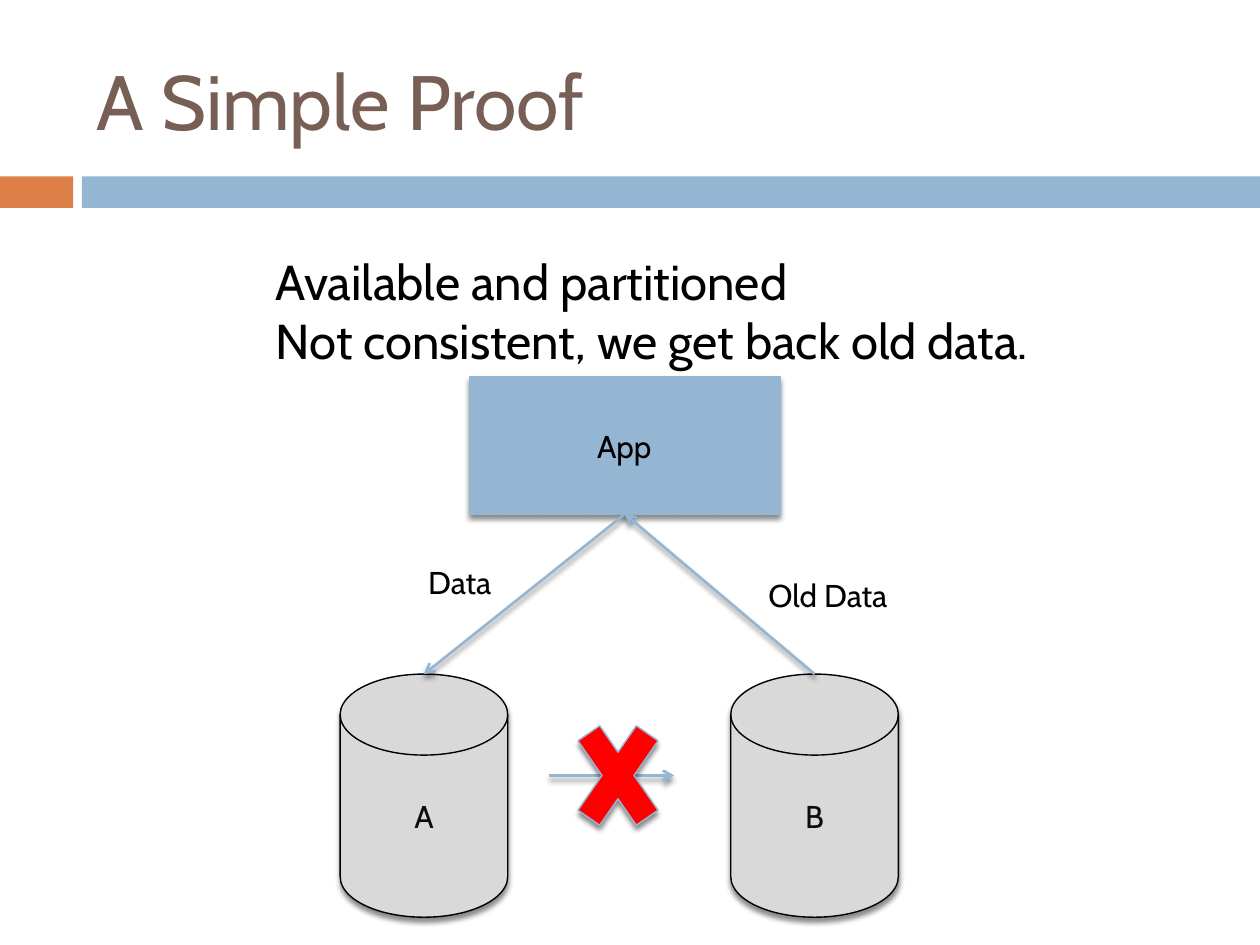
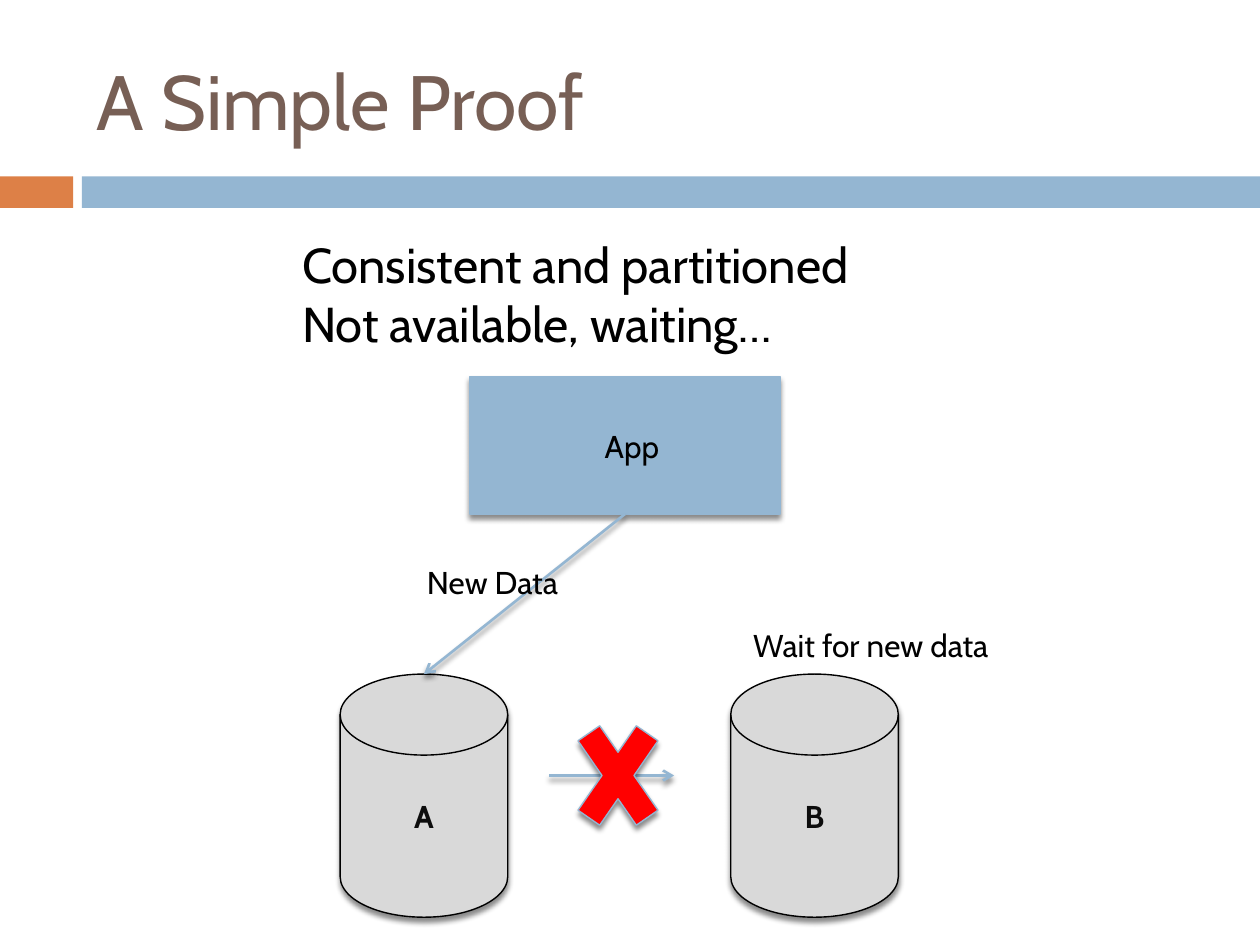
from dataclasses import dataclass

from lxml.etree import SubElement
from pptx import Presentation
from pptx.dml.color import RGBColor
from pptx.enum.shapes import MSO_CONNECTOR, MSO_SHAPE
from pptx.enum.text import MSO_ANCHOR, MSO_AUTO_SIZE, PP_ALIGN
from pptx.oxml.ns import qn
from pptx.util import Inches, Pt

SLIDE_WIDTH, SLIDE_HEIGHT = Inches(10), Inches(7.5)
COLUMN, ROW = SLIDE_WIDTH / 100, SLIDE_HEIGHT / 75

FONT = "Cabin"
BLUE, ORANGE, BROWN = "94B6D2", "DD8047", "775F55"
GREY, RED, BLACK, INK = "D9D9D9", "FF0000", "000000", "0D0D0D"
TITLE_SIZE, VERDICT_SIZE, LABEL_SIZE = 44, 28, 18
OUTLINE_WIDTH, ARROW_WIDTH = 0.79, 1.5


@dataclass
class Box:
    left: float
    top: float
    width: float
    height: float

    def inner(self, left, top, width, height):
        return Box(self.left + left, self.top + top, width, height)

    def emu(self):
        return (int(self.left * COLUMN), int(self.top * ROW),
                int(self.width * COLUMN), int(self.height * ROW))

    def top_centre(self):
        return self.left + self.width / 2, self.top

    def bottom_centre(self):
        return self.left + self.width / 2, self.top + self.height


HEADER = Box(0, 0, 100, 16.5)
DIAGRAM = Box(27, 29.9, 44.3, 42.9)


def color(hex_string):
    return RGBColor.from_string(hex_string)


def write(frame, text, size, hex_string, bold=None):
    frame.text = text
    for paragraph in frame.paragraphs:
        for run in paragraph.runs:
            run.font.name = FONT
            run.font.size = Pt(size)
            run.font.bold = bold
            run.font.color.rgb = color(hex_string)


def cast_shadow(shape):
    effects = SubElement(shape._element.spPr, qn("a:effectLst"))
    shadow = SubElement(effects, qn("a:outerShdw"), blurRad=str(Pt(3)),
                        dist=str(Pt(2.4)), dir="5400000", rotWithShape="0")
    tint = SubElement(shadow, qn("a:srgbClr"), val=BLACK)
    SubElement(tint, qn("a:alpha"), val="45000")


def add_block(slide, preset, box, fill, outline=None):
    block = slide.shapes.add_shape(preset, *box.emu())
    block.fill.solid()
    block.fill.fore_color.rgb = color(fill)
    if outline:
        block.line.color.rgb = color(outline)
        block.line.width = Pt(OUTLINE_WIDTH)
        cast_shadow(block)
    else:
        block.line.fill.background()
        block.shadow.inherit = False
    return block


def add_arrow(slide, start, end):
    points = [int(x * unit) for point in (start, end)
              for x, unit in zip(point, (COLUMN, ROW))]
    arrow = slide.shapes.add_connector(MSO_CONNECTOR.STRAIGHT, *points)
    arrow.line.color.rgb = color(BLUE)
    arrow.line.width = Pt(ARROW_WIDTH)
    SubElement(arrow._element.spPr.find(qn("a:ln")), qn("a:tailEnd"), type="arrow")
    cast_shadow(arrow)


def add_label(slide, box, text, size=LABEL_SIZE):
    frame = slide.shapes.add_textbox(*box.emu()).text_frame
    frame.word_wrap = False
    frame.auto_size = MSO_AUTO_SIZE.SHAPE_TO_FIT_TEXT
    write(frame, text, size, BLACK)


def add_header(slide, box, title):
    add_block(slide, MSO_SHAPE.RECTANGLE, box.inner(0, 14, 5.8, 2.5), ORANGE)
    add_block(slide, MSO_SHAPE.RECTANGLE,
              box.inner(6.5, 14, box.width - 6.5, 2.5), BLUE)
    frame = slide.shapes.add_textbox(*box.inner(6.7, 2.5, 89.2, 10.8).emu()).text_frame
    frame.word_wrap = True
    frame.vertical_anchor = MSO_ANCHOR.MIDDLE
    write(frame, title, TITLE_SIZE, BROWN)


def add_store(slide, box, name, bold):
    store = add_block(slide, MSO_SHAPE.FLOWCHART_MAGNETIC_DISK, box, GREY, BLACK)
    frame = store.text_frame
    frame.vertical_anchor = MSO_ANCHOR.MIDDLE
    write(frame, name, LABEL_SIZE, INK, bold)
    frame.paragraphs[0].alignment = PP_ALIGN.CENTER


def add_broken_link(slide, box):
    middle = box.top + box.height / 2
    right = box.left + box.width
    add_arrow(slide, (box.left, middle), (right, middle))
    add_block(slide, MSO_SHAPE.MATH_MULTIPLY,
              box.inner(1, 0, box.width - 1, box.height), RED, BLUE)


def add_diagram(slide, box, messages, app_label_left, answered, bold_stores):
    store_width, store_height = 13.3, 19.3
    store_top = box.height - store_height
    store_a = box.inner(0, store_top, store_width, store_height)
    store_b = box.inner(box.width - store_width, store_top, store_width, store_height)
    app = box.inner(10.3, 0, 24.6, 10.9)

    for name, store in (("A", store_a), ("B", store_b)):
        add_store(slide, store, name, bold_stores)
    add_block(slide, MSO_SHAPE.RECTANGLE, app, BLUE, BLUE)
    add_arrow(slide, app.bottom_centre(), store_a.top_centre())
    if answered:
        add_arrow(slide, store_b.top_centre(), app.bottom_centre())
    for text, left, top, width in messages:
        add_label(slide, box.inner(left, top, width, 4), text)
    add_broken_link(slide, store_a.inner(store_width + 3.3, 1.6, 9.9, 12.9))
    add_label(slide, box.inner(app_label_left, 3.5, 6.5, 4), "App")


def add_proof_slide(deck, verdict, verdict_box, **diagram):
    slide = deck.slides.add_slide(deck.slide_layouts[6])
    add_header(slide, HEADER, "A Simple Proof")
    add_diagram(slide, DIAGRAM, **diagram)
    add_label(slide, verdict_box, verdict, VERDICT_SIZE)


deck = Presentation()
deck.slide_width, deck.slide_height = SLIDE_WIDTH, SLIDE_HEIGHT

add_proof_slide(
    deck,
    "Available and partitioned\nNot consistent, we get back old data.",
    Box(20.9, 19.5, 66.3, 10.4),
    messages=[("Data", 6, 14.3, 7.3), ("Old Data", 33, 15.3, 12)],
    app_label_left=19.4, answered=True, bold_stores=False)
add_proof_slide(
    deck,
    "Consistent and partitioned\nNot available, waiting…",
    Box(23, 18.1, 47.7, 10.4),
    messages=[("New Data", 5.9, 14.3, 13.1), ("Wait for new data", 31.8, 19.3, 21.6)],
    app_label_left=20, answered=False, bold_stores=True)

deck.save("out.pptx")
